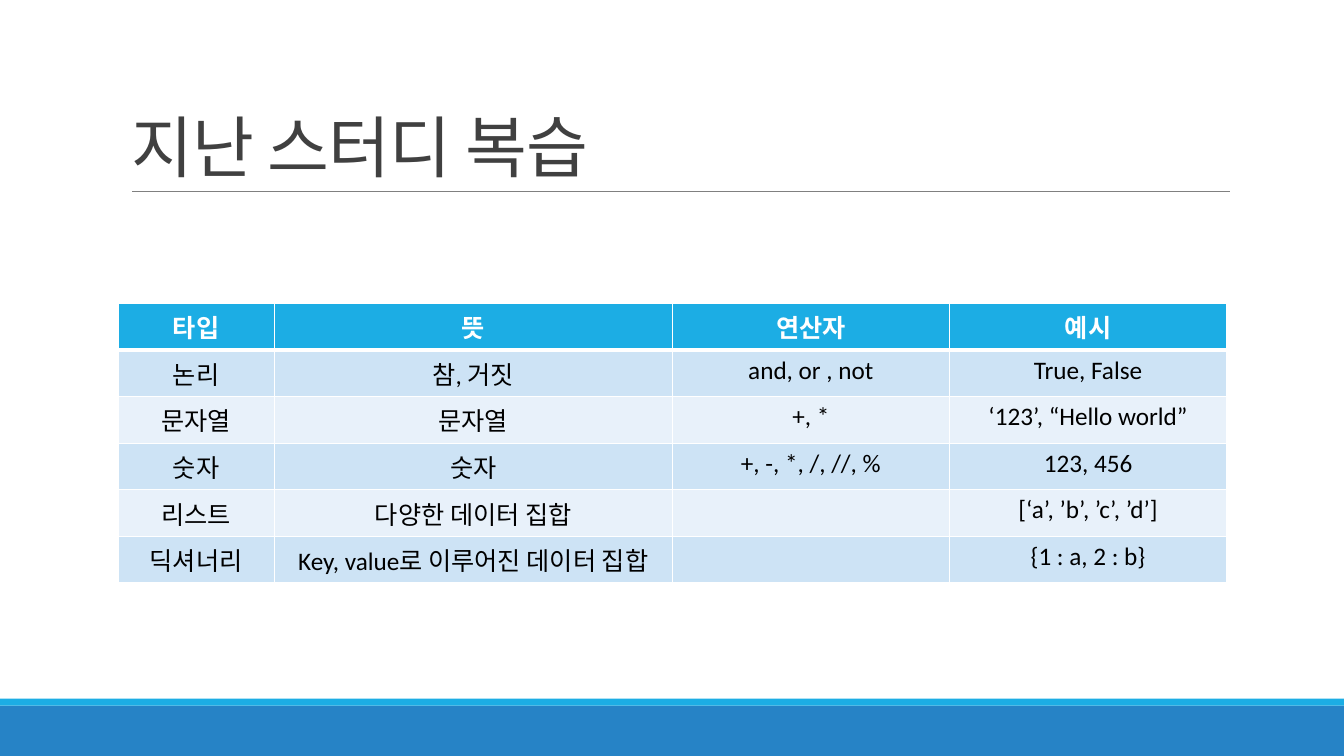
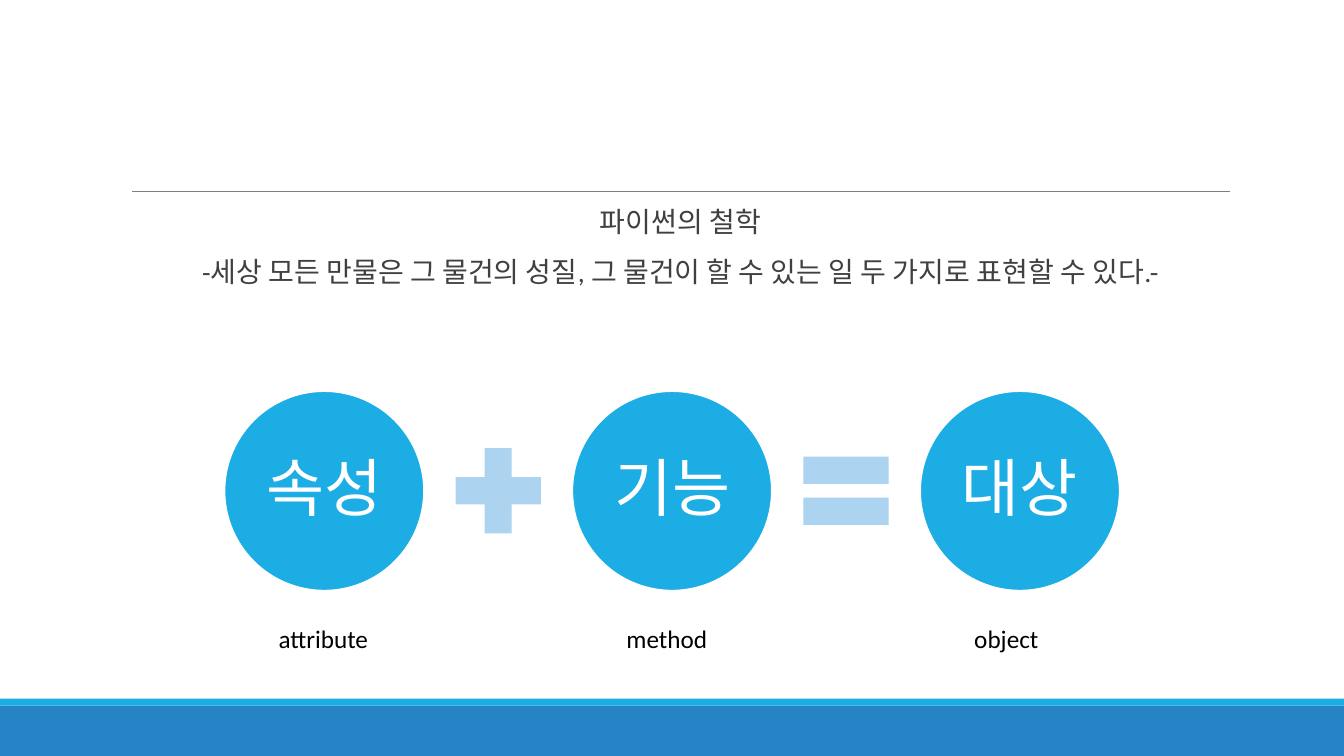
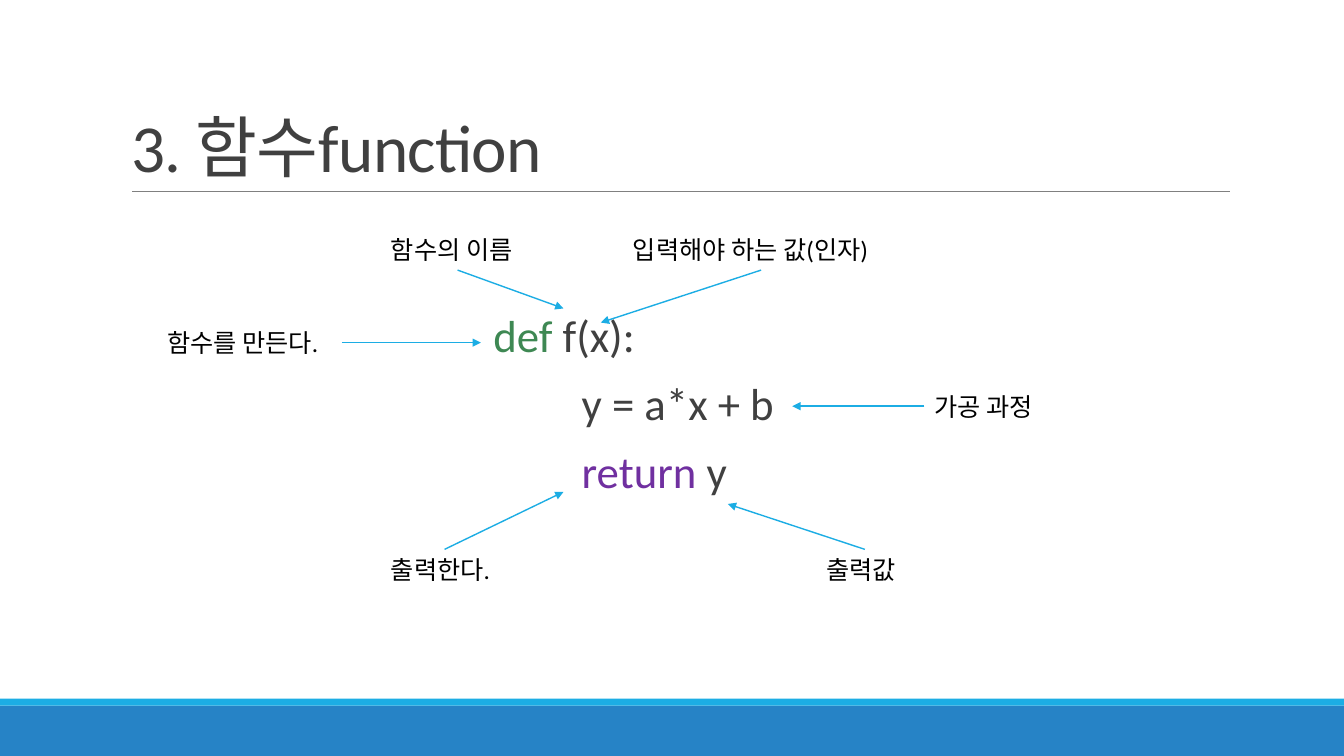
from lxml import etree
from pptx import Presentation
from pptx import util as u
from pptx.dml.color import RGBColor
from pptx.enum import shapes, text
from pptx.oxml.ns import qn

FONT = "Calibri"
BLUE = RGBColor(0x26, 0x83, 0xC6)
SKY = RGBColor(0x1C, 0xAD, 0xE4)
PALE = RGBColor(0xAC, 0xD3, 0xEF)
ROW_DARK = RGBColor(0xCD, 0xE3, 0xF5)
ROW_LIGHT = RGBColor(0xE8, 0xF1, 0xFA)
INK = RGBColor(0x40, 0x40, 0x40)
GRAY = RGBColor(0x80, 0x80, 0x80)
GREEN = RGBColor(0x3E, 0x88, 0x53)
PURPLE = RGBColor(0x70, 0x30, 0xA0)
BLACK = RGBColor(0, 0, 0)
WHITE = RGBColor(0xFF, 0xFF, 0xFF)
LEFT, CENTER = text.PP_ALIGN.LEFT, text.PP_ALIGN.CENTER

deck = Presentation()
deck.slide_width, deck.slide_height = u.Inches(13.333), u.Inches(7.5)


def area(*shares):
    """Turn percentages of the slide's width and height, in turn, into lengths."""
    sides = (deck.slide_width, deck.slide_height) * 2
    return [int(side * share / 100) for side, share in zip(sides, shares)]


def style(para, size, color, bold=False):
    for span in para.runs:
        span.font.name, span.font.size = FONT, u.Pt(size)
        span.font.color.rgb, span.font.bold = color, bold


# Layout: placeholder places, without date, footer and number
layout = deck.slide_layouts[1]
for holder in list(layout.placeholders)[2:]:
    holder.element.getparent().remove(holder.element)
for holder, place in zip(layout.placeholders, [(9, 4.13, 82.5, 21.2), (9, 26.93, 82.5, 58.67)]):
    holder.left, holder.top, holder.width, holder.height = area(*place)

review, philosophy, function = pages = [deck.slides.add_slide(layout) for _ in range(3)]

# Bands and title rule, moved into the layout
shared = []
for color, place in [(BLUE, (0, 93.33, 100, 6.67)), (SKY, (0, 92.4, 100, 0.93))]:
    band = review.shapes.add_shape(shapes.MSO_SHAPE.RECTANGLE, *area(*place))
    band.shadow.inherit = False
    band.fill.solid()
    band.fill.fore_color.rgb = color
    band.line.fill.background()
    shared.append(band)
rule = review.shapes.add_connector(shapes.MSO_CONNECTOR.STRAIGHT, *area(9.83, 25.3, 91.55, 25.3))
rule.line.color.rgb, rule.line.width = GRAY, u.Pt(0.5)
shared.append(rule)
for index, shape in enumerate(shared):
    layout.shapes.element.insert(2 + index, shape.element)

# Titles
for page, title in [(review, "지난 스터디 복습"), (function, "3. 함수function")]:
    frame = page.shapes.title.text_frame
    frame.text = title
    frame.auto_size = text.MSO_AUTO_SIZE.NONE
    frame.vertical_anchor = text.MSO_ANCHOR.BOTTOM
    para = frame.paragraphs[0]
    para.alignment, para.line_spacing = LEFT, 0.85
    style(para, 48, INK)
    para.runs[0]._r.get_or_add_rPr().set("spc", "-50")
for empty in (review.placeholders[1], philosophy.shapes.title):
    empty.element.getparent().remove(empty.element)

# Body texts: paragraphs of coloured runs
code = function.placeholders[1]
code.left, code.top, code.width, code.height = area(35.78, 40.8, 32.18, 26)
bodies = [
    (philosophy, CENTER, 20, [
        [("파이썬의 철학", INK)],
        [("-세상 모든 만물은 그 물건의 성질, 그 물건이 할 수 있는 일 두 가지로 표현할 수 있다.-", INK)]]),
    (function, LEFT, 32, [
        [("def", GREEN), (" f(x):", INK)],
        [("\ty = a*x + b", INK)],
        [("\t", INK), ("return", PURPLE), (" y", INK)]]),
]
for page, align, size, lines in bodies:
    frame = page.placeholders[1].text_frame
    frame.auto_size = text.MSO_AUTO_SIZE.NONE
    frame.margin_left = frame.margin_right = 0
    for index, line in enumerate(lines):
        para = frame.add_paragraph() if index else frame.paragraphs[0]
        props = para._p.get_or_add_pPr()
        props.set("marL", str(u.Inches(0.1)))
        props.set("indent", str(u.Inches(-0.1)))
        props.set("defTabSz", str(u.Inches(1)))
        bullet_color = etree.SubElement(props, qn("a:buClr"))
        etree.SubElement(bullet_color, qn("a:srgbClr"), val=str(SKY))
        etree.SubElement(props, qn("a:buChar"), char=" ")
        para.alignment, para.line_spacing = align, 0.9
        para.space_before, para.space_after = u.Pt(12 if index else 0), u.Pt(2)
        for words, color in line:
            span = para.add_run()
            span.text = words
            span.font.name, span.font.size, span.font.color.rgb = FONT, u.Pt(size), color

# Table of types
rows = [
    ("타입", "뜻", "연산자", "예시"),
    ("논리", "참, 거짓", "and, or , not", "True, False"),
    ("문자열", "문자열", "+, *", "‘123’, “Hello world”"),
    ("숫자", "숫자", "+, -, *, /, //, %", "123, 456"),
    ("리스트", "다양한 데이터 집합", "", "[‘a’, ’b’, ’c’, ’d’]"),
    ("딕셔너리", "Key, value로 이루어진 데이터 집합", "", "{1 : a, 2 : b}"),
]
table = review.shapes.add_table(6, 4, *area(8.78, 40.13, 82.5, 32.4)).table
for column, share in zip(table.columns, (11.62, 29.62, 20.63, 20.63)):
    column.width = area(share)[0]
for r, row in enumerate(rows):
    for c, words in enumerate(row):
        cell = table.cell(r, c)
        cell.text = words
        para = cell.text_frame.paragraphs[0]
        para.alignment = CENTER
        style(para, 18, BLACK if r else WHITE, bold=r == 0)
        props = cell._tc.get_or_add_tcPr()
        for side in "LRTB":
            thick = (r, side) in [(0, "B"), (1, "T")]
            edge = etree.SubElement(props, qn("a:ln" + side), w=str(u.Pt(3 if thick else 1)))
            fill = etree.SubElement(edge, qn("a:solidFill"))
            etree.SubElement(fill, qn("a:srgbClr"), val=str(WHITE))
        cell.fill.solid()
        cell.fill.fore_color.rgb = SKY if r == 0 else ROW_DARK if r % 2 else ROW_LIGHT

# Equation: three circles with a sign between neighbours
STEP, MIDDLE = 25.88, 64.93
labels = []
equation = [("속성", "attribute", 8.25, shapes.MSO_SHAPE.MATH_PLUS),
            ("기능", "method", 7.58, shapes.MSO_SHAPE.MATH_EQUAL),
            ("대상", "object", 6.38, None)]
for index, (term, english, label_width, sign) in enumerate(equation):
    center = 50 + (index - 1) * STEP
    circle = philosophy.shapes.add_shape(
        shapes.MSO_SHAPE.OVAL, *area(center - 7.42, MIDDLE - 13.2, 14.85, 26.4))
    circle.shadow.inherit = False
    circle.fill.solid()
    circle.fill.fore_color.rgb = SKY
    circle.line.color.rgb, circle.line.width = WHITE, u.Pt(1.25)
    frame = circle.text_frame
    frame.margin_left = frame.margin_right = frame.margin_top = frame.margin_bottom = u.Inches(0.06)
    frame.vertical_anchor = text.MSO_ANCHOR.MIDDLE
    frame.text = term
    para = frame.paragraphs[0]
    para.alignment, para.line_spacing = CENTER, 0.9
    style(para, 45, WHITE)
    labels.append((philosophy, english, center - 4.13, 81.73, label_width))
    if sign:
        mark = philosophy.shapes.add_shape(
            sign, *area(center + STEP / 2 - 4.31, MIDDLE - 7.67, 8.63, 15.33))
        mark.shadow.inherit = False
        mark.fill.solid()
        mark.fill.fore_color.rgb = PALE
        mark.line.fill.background()

# Notes on the function: words, left, top, width, arrow from and to
callouts = [
    ("함수를 만든다.", 11.7, 42.67, 13.8, (25.43, 45.33, 35.78, 45.33)),
    ("함수의 이름", 28.35, 30.4, 11.4, (34.05, 35.73, 41.93, 40.8)),
    ("입력해야 하는 값(인자)", 46.35, 30.4, 20.55, (56.63, 35.73, 44.7, 42.67)),
    ("가공 과정", 68.78, 51.07, 9.53, (68.78, 53.73, 58.95, 53.73)),
    ("출력한다.", 28.35, 72.67, 9.53, (33.08, 72.67, 41.93, 65.07)),
    ("출력값", 60.75, 72.67, 7.2, (64.35, 72.67, 54.15, 66.67)),
]
connectors = [rule]
for words, left, top, width, ends in callouts:
    labels.append((function, words, left, top, width))
    arrow = function.shapes.add_connector(shapes.MSO_CONNECTOR.STRAIGHT, *area(*ends))
    arrow.line.color.rgb, arrow.line.width = SKY, u.Pt(1)
    etree.SubElement(arrow.line._get_or_add_ln(), qn("a:tailEnd"), type="triangle")
    connectors.append(arrow)
for connector in connectors:
    etree.SubElement(connector.element.spPr, qn("a:effectLst"))

# Small labels
for page, words, left, top, width in labels:
    box = page.shapes.add_textbox(*area(left, top, width, 5.33))
    box.text_frame.word_wrap = False
    box.text_frame.auto_size = text.MSO_AUTO_SIZE.SHAPE_TO_FIT_TEXT
    box.text_frame.text = words
    style(box.text_frame.paragraphs[0], 18, BLACK)

deck.save("out.pptx")
